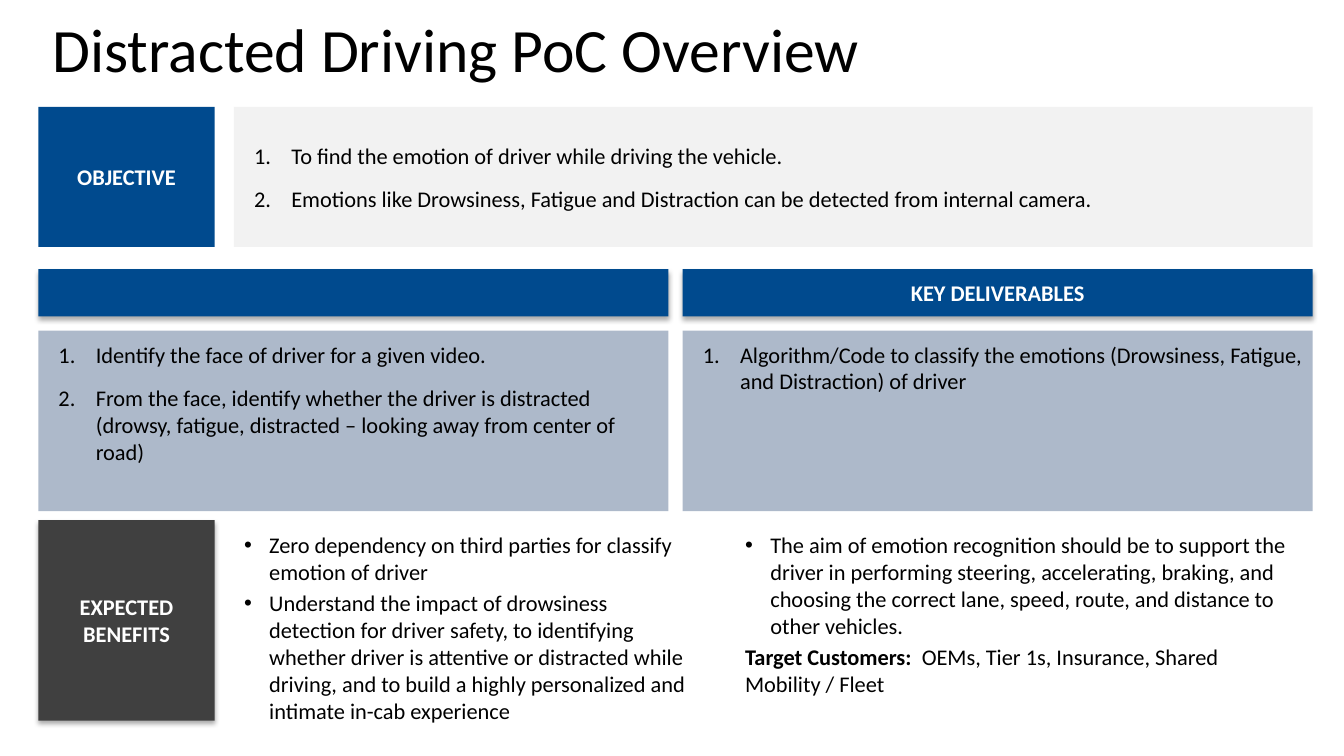
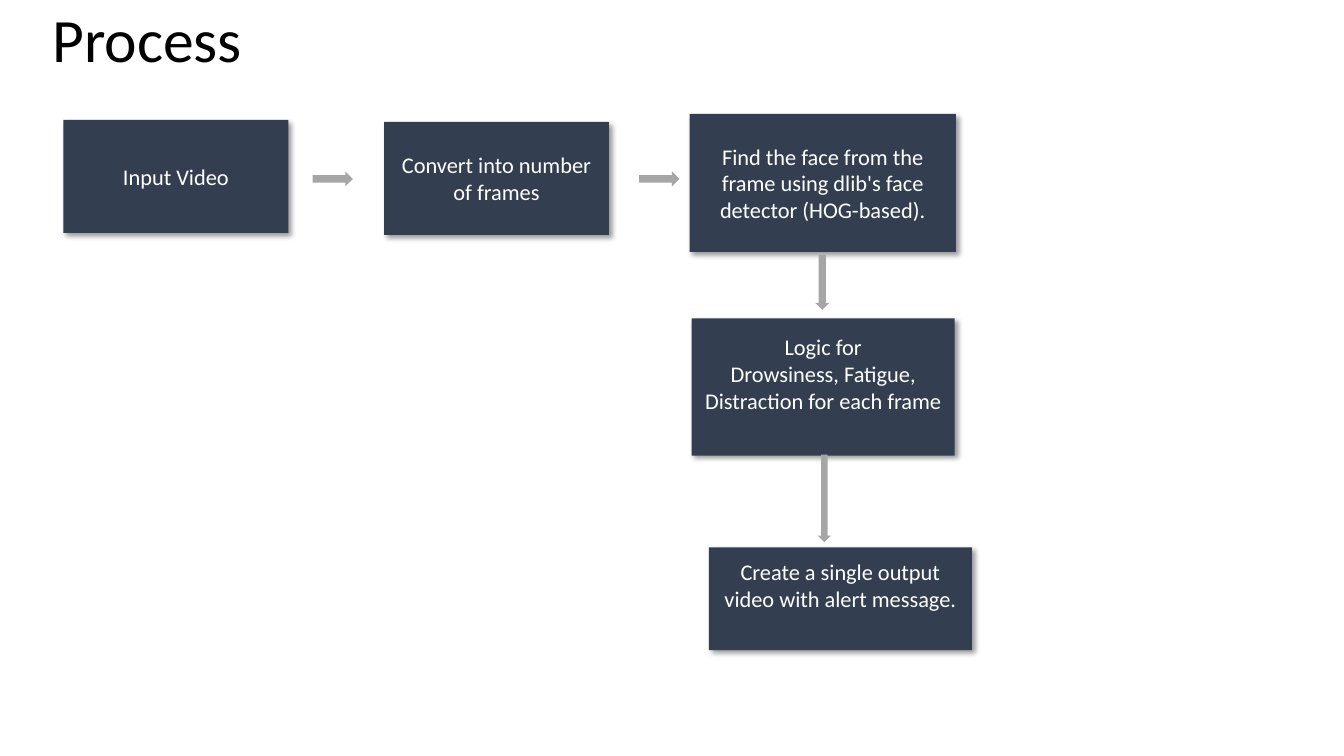
"""Build the two-slide overview of the distracted driving proof of concept."""
import lxml.etree
import pptx
import pptx.dml.color
import pptx.enum.shapes
import pptx.enum.text
import pptx.oxml.ns
import pptx.util

Inches = pptx.util.Inches
Pt = pptx.util.Pt
SHAPES = pptx.enum.shapes.MSO_SHAPE
ANCHOR = pptx.enum.text.MSO_ANCHOR
ALIGN = pptx.enum.text.PP_ALIGN
NO_FIT = pptx.enum.text.MSO_AUTO_SIZE.NONE

BLUE, NAVY, STEEL = "004A8E", "333F50", "ADB9CA"
CHARCOAL, GREY, PALE = "404040", "A6A6A6", "F2F2F2"
BLACK, WHITE = "000000", "FFFFFF"
SOFT_SHADOW = {"alpha": 32, "blur": 3.5, "distance": 2.2, "angle": 90}
CAST_SHADOW = {"alpha": 40, "blur": 4, "distance": 3, "angle": 45}
NUMBER = ("buAutoNum", {"type": "arabicPeriod"}, 0.37)
BULLET = ("buChar", {"char": "•"}, 0.25)
PLAIN = ("buNone", {}, 0)


def colour(value):
    return pptx.dml.color.RGBColor.from_string(value)


def apply(target, formats):
    for name, value in formats.items():
        setattr(target, name, value)


def add_xml(parent, tag, attributes):
    child = lxml.etree.SubElement(parent, pptx.oxml.ns.qn("a:" + tag))
    for name, value in attributes.items():
        child.set(name, str(value))
    return child


class Deck:
    def __init__(self):
        self.deck = pptx.Presentation()
        apply(self.deck, {"slide_width": Inches(13.33), "slide_height": Inches(7.5)})
        self.page = None

    def add_page(self, layout, title, top):
        self.page = self.deck.slides.add_slide(self.deck.slide_layouts[layout])
        box = self.page.shapes.title
        self.place(box, (0.42, top, 12.5, 0.85))
        self.set_text(box, [title], size=44, anchor=ANCHOR.MIDDLE, line_spacing=0.9)

    def place(self, box, frame):
        names = ("left", "top", "width", "height")
        apply(box, {name: Inches(value) for name, value in zip(names, frame)})

    def paint(self, box, fill, shadow=None):
        box.fill.solid()
        box.fill.fore_color.rgb = colour(fill)
        box.line.fill.background()
        box.shadow.inherit = False
        if shadow:
            effects = box._element.spPr.find(pptx.oxml.ns.qn("a:effectLst"))
            outer = add_xml(effects, "outerShdw", {
                "blurRad": Pt(shadow["blur"]), "dist": Pt(shadow["distance"]),
                "dir": shadow["angle"] * 60000, "algn": "ctr", "rotWithShape": 0})
            shade = add_xml(outer, "srgbClr", {"val": BLACK})
            add_xml(shade, "alpha", {"val": shadow["alpha"] * 1000})

    def set_text(self, box, items, size=16, ink=BLACK, bold=False, marker=PLAIN,
                 anchor=ANCHOR.TOP, insets=(0.1, 0.05, 0.1, 0.05), **formats):
        """Fill a box; an item is a text, or a list of (text, bold) spans set without marker."""
        frame = box.text_frame
        sides = ("margin_left", "margin_top", "margin_right", "margin_bottom")
        apply(frame, {"word_wrap": True, "auto_size": NO_FIT, "vertical_anchor": anchor})
        apply(frame, {side: Inches(value) for side, value in zip(sides, insets)})
        for index, item in enumerate(items):
            para = frame.paragraphs[0] if index == 0 else frame.add_paragraph()
            apply(para, {"alignment": ALIGN.LEFT, "space_before": Pt(0), **formats})
            is_text = isinstance(item, str)
            tag, attributes, indent = marker if is_text else PLAIN
            properties = para._p.get_or_add_pPr()
            properties.set("marL", str(Inches(indent)))
            properties.set("indent", str(-Inches(indent)))
            add_xml(properties, tag, attributes)
            for text, strong in [(item, bold)] if is_text else item:
                span = para.add_run()
                span.text = text
                apply(span.font, {"name": "Calibri", "size": Pt(size), "bold": strong})
                span.font.color.rgb = colour(ink)

    def add_box(self, frame, fill, shadow=None, kind=SHAPES.RECTANGLE):
        box = self.page.shapes.add_shape(kind, *map(Inches, frame))
        self.paint(box, fill, shadow)
        return box

    def add_label(self, frame, text, fill, shadow=None):
        box = self.add_box(frame, fill, shadow)
        if text:
            self.set_text(box, [text], ink=WHITE, bold=True, anchor=ANCHOR.MIDDLE,
                          alignment=ALIGN.CENTER)

    def add_list(self, index, frame, items, marker, gap, fill=None, **style):
        box = self.page.placeholders[index]
        self.place(box, frame)
        if fill:
            self.paint(box, fill)
        self.set_text(box, items, marker=marker, space_after=Pt(gap), **style)

    def add_step(self, frame, lines, bottom=0.05):
        box = self.add_box(frame, NAVY, CAST_SHADOW)
        self.set_text(box, lines, ink=WHITE, anchor=ANCHOR.MIDDLE,
                      insets=(0.1, 0.05, 0.1, bottom), alignment=ALIGN.CENTER)

    def add_arrow(self, frame, rotation=0):
        self.add_box(frame, GREY, kind=SHAPES.RIGHT_ARROW).rotation = rotation


def build_overview(deck):
    left, label_width, column_width, column_step = 0.38, 1.75, 6.25, 6.39
    deck.add_page(4, "Distracted Driving PoC Overview", 0.1)

    deck.add_label((left, 1.06, label_width, 1.39), "OBJECTIVE", BLUE)
    objective = deck.add_box((2.32, 1.06, 10.7, 1.39), PALE)
    deck.set_text(objective, [
        "To find the emotion of driver while driving the vehicle.",
        "Emotions like Drowsiness, Fatigue and Distraction can be detected from internal camera.",
    ], marker=NUMBER, anchor=ANCHOR.MIDDLE, insets=(0.2, 0.05, 0.1, 0.05), space_after=Pt(12))

    columns = [
        ("", ["Identify the face of driver for a given video.",
              "From the face, identify whether the driver is distracted (drowsy, fatigue, "
              "distracted – looking away from center of road)"]),
        ("KEY DELIVERABLES", ["Algorithm/Code to classify the emotions (Drowsiness, Fatigue, "
                              "and Distraction) of driver"]),
    ]
    for index, (heading, items) in enumerate(columns):
        x = left + index * column_step
        deck.add_label((x, 2.67, column_width, 0.47), heading, BLUE, SOFT_SHADOW)
        deck.add_list(index + 1, (x, 3.28, column_width, 1.79), items, NUMBER, 12, STEEL,
                      insets=(0.2, 0.1, 0.1, 0.05))

    deck.add_label((left, 5.16, label_width, 1.99), "EXPECTED BENEFITS", CHARCOAL, SOFT_SHADOW)
    deck.add_list(3, (2.32, 5.22, 4.68, 2.03), [
        "Zero dependency on third parties for classify emotion of driver",
        "Understand the impact of drowsiness detection for driver safety, to identifying whether "
        "driver is attentive or distracted while driving, and to build a highly personalized and "
        "intimate in-cab experience",
    ], BULLET, 3)
    deck.add_list(4, (7.29, 5.22, 5.62, 1.76), [
        "The aim of emotion recognition should be to support the driver in performing steering, "
        "accelerating, braking, and choosing the correct lane, speed, route, and distance to "
        "other vehicles.",
        [("Target Customers: ", True),
         (" OEMs, Tier 1s, Insurance, Shared Mobility / Fleet", False)],
    ], BULLET, 3)


def build_process(deck):
    deck.add_page(5, "Process", 0)
    deck.add_step((0.63, 1.19, 2.23, 1.12), ["Input Video"])
    deck.add_step((3.81, 1.21, 2.23, 1.12), ["Convert into number of frames"])
    deck.add_step((6.84, 1.13, 2.64, 1.37),
                  ["Find the face from the frame using dlib's face detector (HOG-based)."])
    deck.add_step((6.86, 3.16, 2.61, 1.36),
                  ["Logic for", "Drowsiness, Fatigue, Distraction for each frame"], bottom=0.32)
    deck.add_step((7.03, 5.43, 2.61, 1.02),
                  ["Create a single output video with alert message."], bottom=0.32)
    for x in (3.1, 6.34):
        deck.add_arrow((x, 1.7, 0.4, 0.15))
    for frame in ((7.88, 2.73, 0.55, 0.14), (7.74, 4.88, 0.87, 0.13)):
        deck.add_arrow(frame, rotation=90)


def main():
    deck = Deck()
    build_overview(deck)
    build_process(deck)
    deck.deck.save("out.pptx")


if __name__ == "__main__":
    main()
